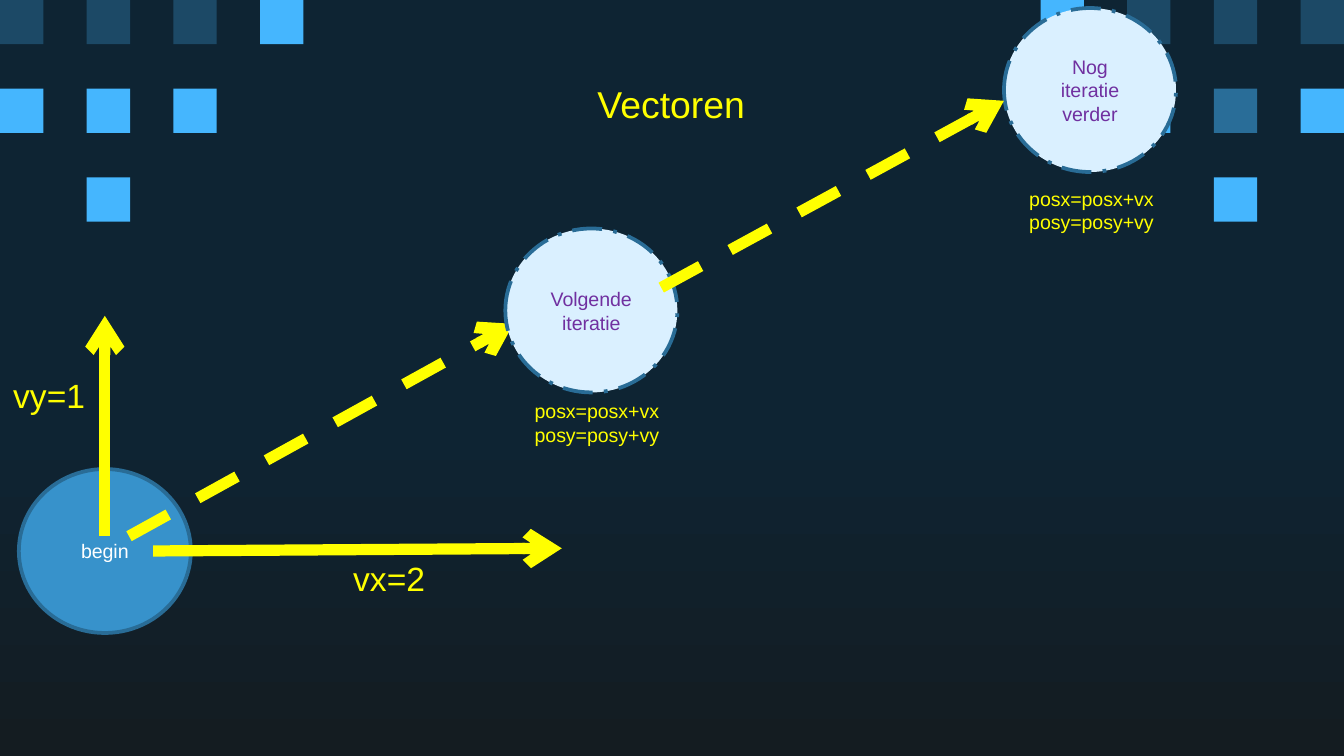
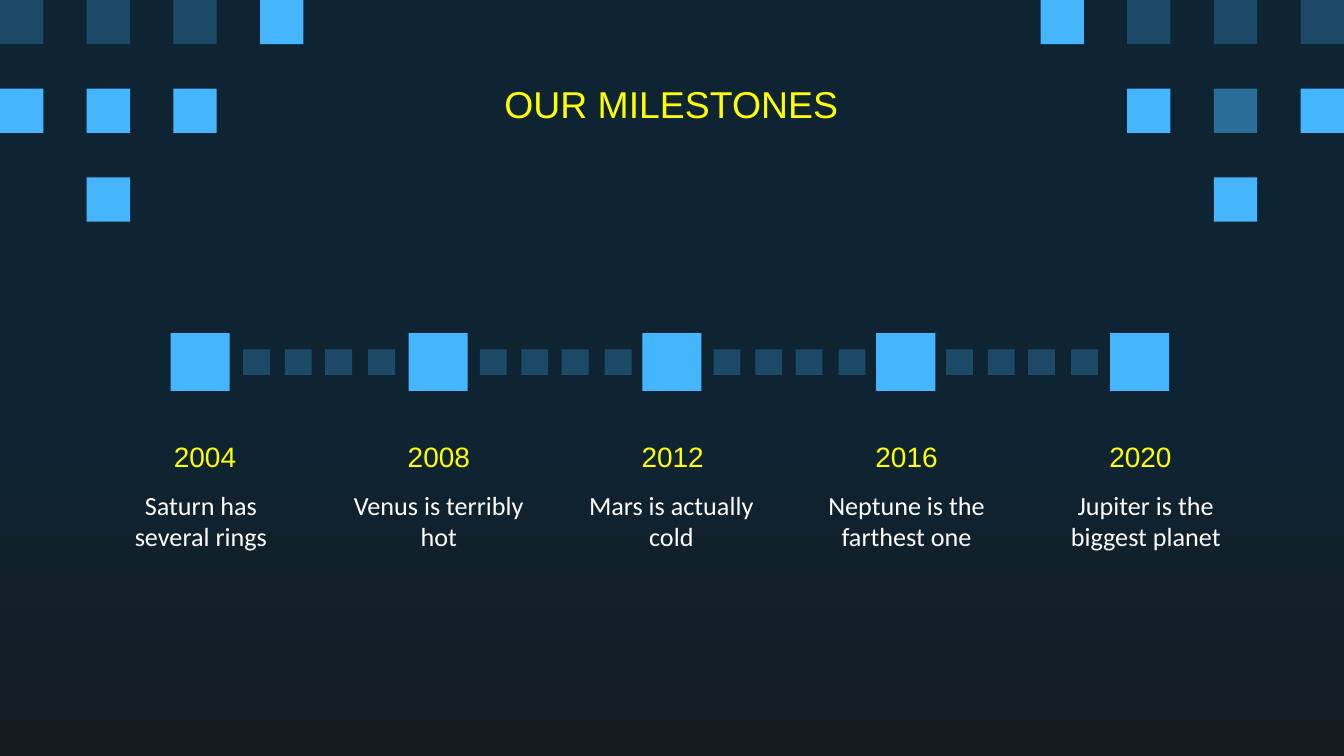
import lxml.etree
import pptx
import pptx.dml.color
import pptx.enum.dml
import pptx.enum.shapes
import pptx.enum.text
import pptx.oxml.ns
import pptx.util

Inches = pptx.util.Inches
Pt = pptx.util.Pt
Shapes = pptx.enum.shapes.MSO_SHAPE
Dash = pptx.enum.dml.MSO_LINE
Align = pptx.enum.text.PP_ALIGN
Anchor = pptx.enum.text.MSO_ANCHOR
AutoSize = pptx.enum.text.MSO_AUTO_SIZE

NIGHT, NIGHT_END = "0E2433", "141C21"
BRIGHT, MEDIUM, DARK = "45B6FE", "296D98", "1C4966"
YELLOW, WHITE, PURPLE = "FFFF00", "FFFFFF", "7030A0"
BALL, PALE_BALL, BALL_EDGE = "3792CB", "DAF0FF", "296C96"

SLIDE_WIDTH = 10
SLIDE_HEIGHT = SLIDE_WIDTH * 9 / 16
SQUARE_COLORS = {"B": BRIGHT, "M": MEDIUM, "D": DARK}
SQUARE_ROWS = ["DDDB        BDDD", "BBB          BMB", " B            B "]
SQUARE_WIDTH = SLIDE_WIDTH / 31
SQUARE_HEIGHT = 0.33

MILESTONES = [
    ("2004", "Saturn has several rings", 1.27, 0.72),
    ("2008", "Venus is terribly hot", 3.04, 2.49),
    ("2012", "Mars is actually cold", 4.78, 4.22),
    ("2016", "Neptune is the farthest one", 6.52, 5.97),
    ("2020", "Jupiter is the biggest planet", 8.26, 7.75),
]
DOT_STARTS = [1.81, 3.57, 5.31, 7.04]
DOT_OFFSETS = [0, 0.31, 0.61, 0.93]


def color(value):
    return pptx.dml.color.RGBColor.from_string(value)


def place(*lengths):
    return [Inches(length) for length in lengths]


def format_text(text_frame, size, text_color, font="Arial", align=Align.LEFT):
    for paragraph in text_frame.paragraphs:
        paragraph.alignment = align
        for run in paragraph.runs:
            run.font.size = Pt(size)
            run.font.name = font
            run.font.color.rgb = color(text_color)


def set_margins(text_frame, margin):
    text_frame.margin_left = text_frame.margin_right = Inches(margin)
    text_frame.margin_top = text_frame.margin_bottom = Inches(margin)


def add_shape(slide, kind, box, fill):
    shape = slide.shapes.add_shape(kind, *place(*box))
    shape.shadow.inherit = False
    shape.fill.solid()
    shape.fill.fore_color.rgb = color(fill)
    shape.line.fill.background()
    return shape


def add_square(slide, box, fill):
    return add_shape(slide, Shapes.RECTANGLE, box, fill)


def add_ball(slide, left, top, text, fill, text_color, dash=None):
    ball = add_shape(slide, Shapes.OVAL, (left, top, 1.28, 1.22), fill)
    ball.line.color.rgb = color(BALL_EDGE)
    ball.line.width = Pt(2)
    if dash:
        ball.line.dash_style = dash
    ball.text_frame.text = text
    ball.text_frame.word_wrap = True
    ball.text_frame.vertical_anchor = Anchor.MIDDLE
    format_text(ball.text_frame, 10.5, text_color, align=Align.CENTER)


def add_arrow(slide, start, end, dash=None):
    arrow = slide.shapes.add_connector(
        pptx.enum.shapes.MSO_CONNECTOR.STRAIGHT, *place(*start, *end))
    arrow.line.color.rgb = color(YELLOW)
    arrow.line.width = Pt(6)
    if dash:
        arrow.line.dash_style = dash
    qn = pptx.oxml.ns.qn
    properties = arrow.element.find(qn("p:spPr"))
    lxml.etree.SubElement(properties.find(qn("a:ln")), qn("a:tailEnd"), type="arrow")
    lxml.etree.SubElement(properties, qn("a:effectLst"))


def add_label(slide, box, text, size, wrap=True):
    text_frame = slide.shapes.add_textbox(*place(*box)).text_frame
    text_frame.text = text
    text_frame.word_wrap = wrap
    text_frame.auto_size = AutoSize.SHAPE_TO_FIT_TEXT
    format_text(text_frame, size, YELLOW)


def add_caption(slide, box, text, size, text_color, font):
    text_frame = slide.shapes.add_textbox(*place(*box)).text_frame
    text_frame.text = text
    text_frame.word_wrap = True
    set_margins(text_frame, 0.1)
    format_text(text_frame, size, text_color, font, Align.CENTER)
    return text_frame


def add_titled_slide(presentation, title):
    slide = presentation.slides.add_slide(presentation.slide_layouts[5])
    shape = slide.shapes.title
    shape.left, shape.top, shape.width, shape.height = place(0.78, 0.59, 8.43, 0.36)
    text_frame = shape.text_frame
    text_frame.text = title
    text_frame.auto_size = AutoSize.NONE
    text_frame.vertical_anchor = Anchor.MIDDLE
    set_margins(text_frame, 0.1)
    format_text(text_frame, 20, YELLOW, align=Align.CENTER)
    return slide


def decorate_master(presentation, slide):
    master = presentation.slide_master
    fill = master.background.fill
    fill.gradient()
    fill.gradient_angle = 270
    stops = zip(fill.gradient_stops, (0.56, 1), (NIGHT, NIGHT_END))
    for stop, position, stop_color in stops:
        stop.position = position
        stop.color.rgb = color(stop_color)
    for row, pattern in enumerate(SQUARE_ROWS):
        for column, mark in enumerate(pattern):
            if mark in SQUARE_COLORS:
                box = (column * 2 * SQUARE_WIDTH, row * 2 * SQUARE_HEIGHT,
                       SQUARE_WIDTH, SQUARE_HEIGHT)
                square = add_square(slide, box, SQUARE_COLORS[mark])
                master.shapes.element.append(square.element)


def fill_vectors(slide):
    update = "posx=posx+vx\nposy=posy+vy"
    add_ball(slide, 0.14, 3.49, "begin", BALL, WHITE)
    add_arrow(slide, (1.14, 4.1), (4.18, 4.08))
    add_label(slide, (2.53, 4.1, 0.74, 0.4), "vx=2", 18)
    add_arrow(slide, (0.78, 3.99), (0.78, 2.35))
    add_label(slide, (0, 2.74, 0.79, 0.4), "vy=1", 18)
    add_arrow(slide, (0.96, 3.99), (3.82, 2.41), Dash.DASH)
    add_ball(slide, 3.76, 1.7, "Volgende iteratie", PALE_BALL, PURPLE, Dash.LONG_DASH_DOT)
    add_ball(slide, 7.47, 0.06, "Nog iteratie verder", PALE_BALL, PURPLE, Dash.LONG_DASH_DOT)
    add_arrow(slide, (4.92, 2.14), (7.47, 0.75), Dash.DASH)
    add_label(slide, (3.88, 2.92, 1.16, 0.63), update, 10.5, wrap=False)
    add_label(slide, (7.56, 1.34, 1.16, 0.63), update, 10.5, wrap=False)


def fill_milestones(slide):
    for index, (year, fact, marker_left, fact_left) in enumerate(MILESTONES):
        year_frame = add_caption(
            slide, (0.78 + 1.74 * index, 3.21, 1.49, 0.33), year, 15, YELLOW, "Arial")
        year_frame.vertical_anchor = Anchor.MIDDLE
        year_frame.paragraphs[0].line_spacing = 1.15
        fact_frame = add_caption(
            slide, (fact_left, 3.54, 1.55, 0.66), fact, 14, WHITE, "Calibri")
        fact_frame.paragraphs[0].space_after = Pt(16)
        add_square(slide, (marker_left, 2.48, 0.44, 0.43), BRIGHT)
    for start in DOT_STARTS:
        for offset in DOT_OFFSETS:
            add_square(slide, (start + offset, 2.6, 0.2, 0.19), DARK)


def main():
    presentation = pptx.Presentation()
    presentation.slide_width, presentation.slide_height = place(SLIDE_WIDTH, SLIDE_HEIGHT)
    vectors = add_titled_slide(presentation, "Vectoren")
    decorate_master(presentation, vectors)
    fill_vectors(vectors)
    fill_milestones(add_titled_slide(presentation, "OUR MILESTONES"))
    presentation.save("out.pptx")


if __name__ == "__main__":
    main()
